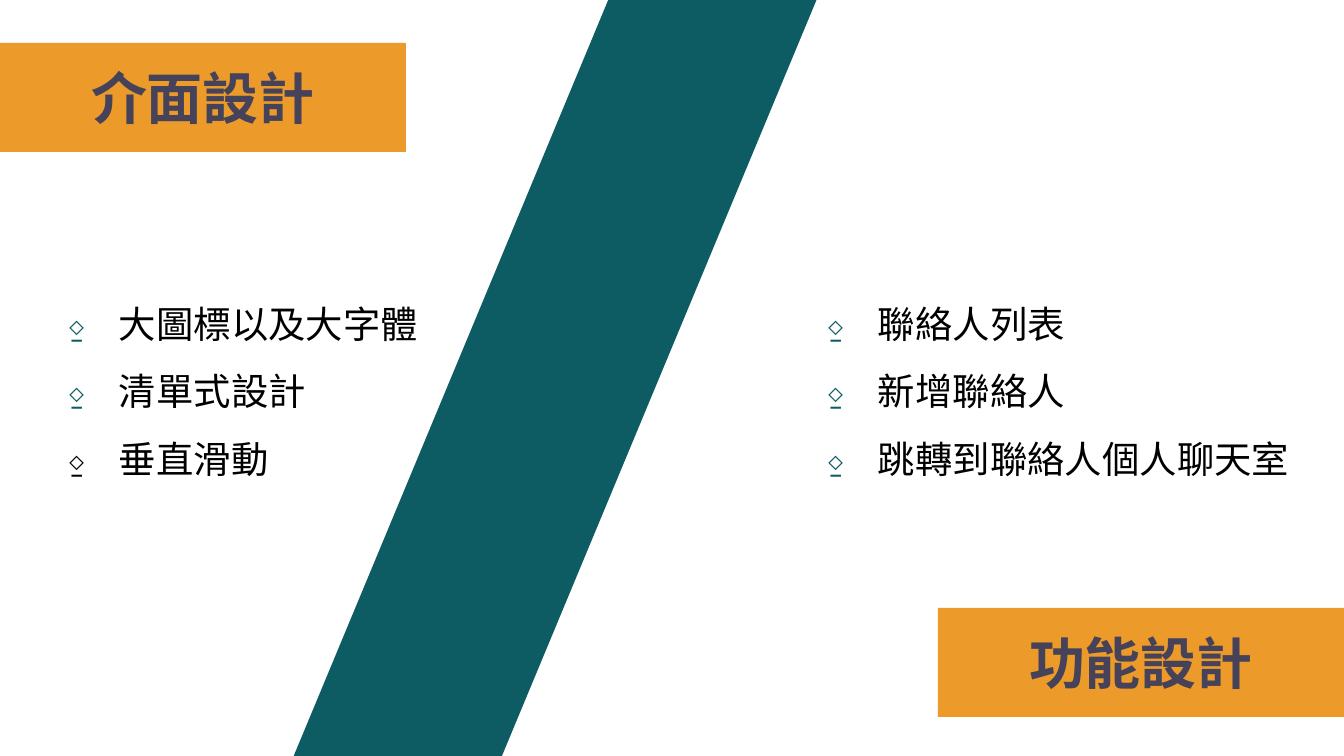
"""Build a slide that sets interface design against function design."""
from lxml.etree import SubElement
from pptx import Presentation
from pptx.dml.color import RGBColor
from pptx.enum.shapes import MSO_SHAPE
from pptx.enum.text import MSO_ANCHOR, MSO_AUTO_SIZE, PP_ALIGN
from pptx.oxml.ns import qn
from pptx.util import Pt

PX = 914400 / 134.4
C = {"teal": "0D5C63", "orange": "EC9A29", "title": "45425A", "black": "000000"}


def px(*vals):
    return [round(v * PX) for v in vals]


def write(p, text, size=20, color="black", bold=False, align=None, bullet=None):
    if bullet:
        pPr = p._p.get_or_add_pPr()
        mar, ind = px(67, -52)
        pPr.set("marL", str(mar))
        pPr.set("indent", str(ind))
        SubElement(SubElement(pPr, qn("a:buClr")), qn("a:srgbClr"), val=C[bullet])
        SubElement(pPr, qn("a:buFont"), typeface="Arial")
        SubElement(pPr, qn("a:buChar"), char="⍚")
        p.line_spacing = 1.5
    p.alignment = align
    r = p.add_run()
    r.text = text
    r.font.name = "Arial"
    r.font.size = Pt(size)
    r.font.bold = bold
    r.font.color.rgb = RGBColor.from_string(C[color])


prs = Presentation()
prs.slide_width, prs.slide_height = px(1344, 756)
s = prs.slides.add_slide(prs.slide_layouts[6])

band = (MSO_SHAPE.PARALLELOGRAM, (421, -69, 257, 921), "teal", None)
left = (MSO_SHAPE.RECTANGLE, (0, 43, 406, 109), "orange", "介面設計")
right = (MSO_SHAPE.RECTANGLE, (938, 608, 406, 109), "orange", "功能設計")
for kind, box, fill, text in (band, left, right):
    sp = s.shapes.add_shape(kind, *px(*box))
    sp.shadow.inherit = False
    sp.fill.solid()
    sp.fill.fore_color.rgb = RGBColor.from_string(C[fill])
    sp.line.fill.background()
    if text:
        tf = sp.text_frame
        tf.vertical_anchor = MSO_ANCHOR.MIDDLE
        tf.margin_left, tf.margin_top, tf.margin_right, tf.margin_bottom = px(13, 13, 13, 13)
        write(tf.paragraphs[0], text, size=30, color="title", bold=True, align=PP_ALIGN.CENTER)
    else:
        sp.rotation = 18.6
        sp.adjustments[0] = 0.25

lists = [
    (39, 441, [("大圖標以及大字體", "teal"), ("清單式設計", "teal"), ("垂直滑動", "black")]),
    (798, 512, [("聯絡人列表", "teal"), ("新增聯絡人", "teal"), ("跳轉到聯絡人個人聊天室", "teal")]),
]
for x, w, items in lists:
    tf = s.shapes.add_textbox(*px(x, 266, w, 208)).text_frame
    tf.word_wrap = True
    tf.auto_size = MSO_AUTO_SIZE.SHAPE_TO_FIT_TEXT
    tf.margin_left, tf.margin_top, tf.margin_right, tf.margin_bottom = px(13, 13, 13, 13)
    for i, (text, bullet) in enumerate(items):
        p = tf.add_paragraph() if i else tf.paragraphs[0]
        write(p, text, bullet=bullet)

prs.save("out.pptx")
